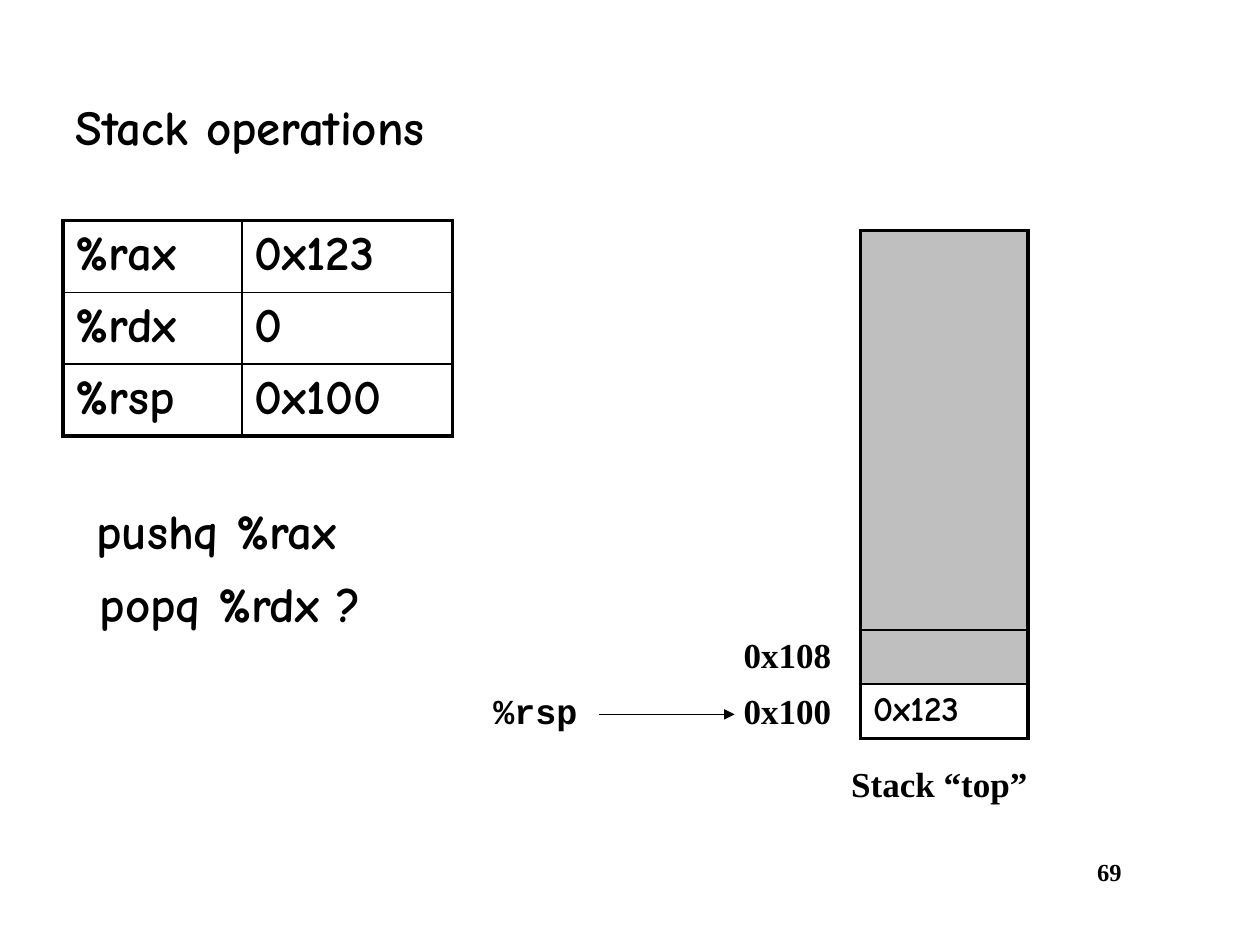
from lxml import etree
from pptx import Presentation
from pptx.dml.color import RGBColor
from pptx.enum.shapes import MSO_CONNECTOR, MSO_SHAPE
from pptx.enum.text import MSO_ANCHOR, PP_ALIGN
from pptx.oxml.ns import qn
from pptx.util import Inches, Pt

LEFT, MID, RIGHT = PP_ALIGN.LEFT, PP_ALIGN.CENTER, PP_ALIGN.RIGHT
TOP, CENTER = MSO_ANCHOR.TOP, MSO_ANCHOR.MIDDLE
RECT, LINE = MSO_SHAPE.RECTANGLE, MSO_CONNECTOR.STRAIGHT
COLORS = {"ink": "000000", "paper": "FFFFFF", "used": "BFBFBF"}
COMIC, TIMES, MONO = "Comic Neue", "Times New Roman", "Courier New"
THICK, THIN = 2.25, 1

REGS = [["%rax", "0x123"], ["%rdx", "0"], ["%rsp", "0x100"]]
STACK = [[""], [""], ["0x123"]]
TEXTS = [
    ("Stack operations", (0.5, 0.5, 8.83, 1), COMIC, 28, LEFT, CENTER, True),
    ("pushq %rax", (0.52, 3.92, 2.4, 0.57), COMIC, 28, MID, TOP, False),
    ("popq %rdx ?", (0.53, 4.5, 2.6, 0.57), COMIC, 28, MID, TOP, False),
    ("%rsp", (3.75, 5.42, 1, 0.44), MONO, 20, MID, TOP, True),
    ("69", (7.58, 6.75, 1.42, 0.5), TIMES, 14, RIGHT, TOP, True),
]
LABELS = [
    ("0x108", (5.75, 4.98, 1, 0.44)),
    ("0x100", (5.75, 5.42, 1, 0.44)),
    ("Stack “top”", (6.58, 6, 1.75, 0.44)),
]


def color(name):
    return RGBColor.from_string(COLORS[name])


def place(box):
    return [Inches(n) for n in box]


def write(frame, text, face, size, align=LEFT):
    para = frame.paragraphs[0]
    para.alignment = align
    run = para.add_run()
    run.text = text
    font = run.font
    font.name, font.size, font.bold = face, Pt(size), True
    font.color.rgb = color("ink")


def add_text(slide, text, box, face, size, align, anchor, wrap):
    frame = slide.shapes.add_textbox(*place(box)).text_frame
    frame.word_wrap = wrap
    frame.vertical_anchor = anchor
    write(frame, text, face, size, align)


def add_label(slide, text, box):
    shape = slide.shapes.add_shape(RECT, *place(box))
    shape.shadow.inherit = False
    shape.fill.background()
    shape.line.color.rgb = color("paper")
    shape.line.width = Pt(0.75)
    shape.text_frame.word_wrap = True
    shape.text_frame.vertical_anchor = TOP
    write(shape.text_frame, text, TIMES, 20, MID)


def add_edge(cell, side, width):
    edge = etree.SubElement(cell._tc.get_or_add_tcPr(), qn("a:ln" + side), w=str(Pt(width)))
    fill = etree.SubElement(edge, qn("a:solidFill"))
    etree.SubElement(fill, qn("a:srgbClr"), val=COLORS["ink"])


def add_grid(slide, data, left, top, wide, high, size, fills):
    box = place((left, top, sum(wide), sum(high)))
    table = slide.shapes.add_table(len(high), len(wide), *box).table
    table.first_row = table.horz_banding = False
    for col, width in zip(table.columns, wide):
        col.width = Inches(width)
    for r, (row, height) in enumerate(zip(data, high)):
        table.rows[r].height = Inches(height)
        for c, text in enumerate(row):
            cell = table.cell(r, c)
            outer = {"L": c == 0, "R": c == len(wide) - 1,
                     "T": r == 0, "B": r == len(high) - 1}
            for side, edge in outer.items():
                add_edge(cell, side, THICK if edge else THIN)
            cell.fill.solid()
            cell.fill.fore_color.rgb = color(fills[r])
            if text:
                write(cell.text_frame, text, COMIC, size)


def add_arrow(slide, ends):
    arrow = slide.shapes.add_connector(LINE, *place(ends))
    arrow.line.color.rgb = color("ink")
    arrow.line.width = Pt(0.75)
    etree.SubElement(arrow.line._get_or_add_ln(), qn("a:tailEnd"), type="triangle")
    etree.SubElement(arrow._element.spPr, qn("a:effectLst"))


def main():
    deck = Presentation()
    deck.slide_width, deck.slide_height = Inches(10), Inches(7.5)
    slide = deck.slides.add_slide(deck.slide_layouts[6])
    for item in TEXTS:
        add_text(slide, *item)
    for item in LABELS:
        add_label(slide, *item)
    add_grid(slide, REGS, 0.5, 1.75, [1.42, 1.67], [0.57] * 3, 28, ["paper"] * 3)
    add_grid(slide, STACK, 6.83, 1.83, [1.33], [3.17, 0.43, 0.43], 20,
             ["used", "used", "paper"])
    add_arrow(slide, (4.75, 5.67, 5.83, 5.67))
    deck.save("out.pptx")


if __name__ == "__main__":
    main()
